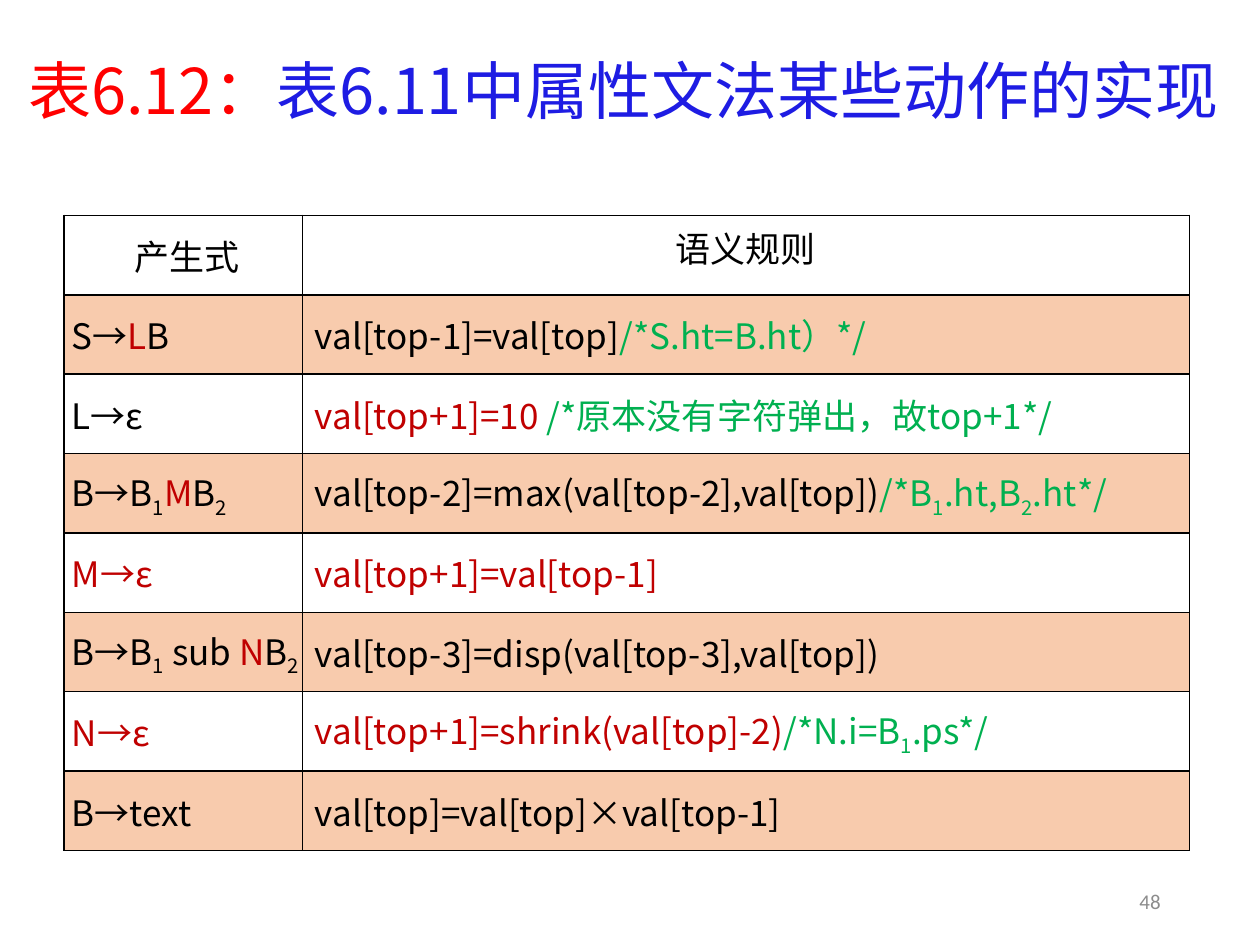
from lxml import etree
from pptx import Presentation
from pptx import util as u
from pptx.dml.color import RGBColor
from pptx.enum import text
from pptx.oxml.ns import qn

COLORS = {
    "black": "000000", "red": "C00000", "green": "00B050", "band": "F8CBAD",
    "label": "FF0000", "title": "1E1CE3", "number": "8C8C8C",
}
TITLE_FONT, TABLE_FONT = "Noto Sans CJK JP", "Noto Sans CJK SC"
CENTER, RIGHT, LEFT = (text.PP_ALIGN.CENTER, text.PP_ALIGN.RIGHT,
                       text.PP_ALIGN.LEFT)
ROW_HEIGHT = 0.63
COLUMN_WIDTHS = (1.89, 7.04)

# A leading underscore marks a subscript run.
RULES = [
    ([("产生式", "black")], [("语义规则", "black")]),
    ([("S→", "black"), ("L", "red"), ("B", "black")],
     [("val[top-1]=val[top]", "black"), ("/*S.ht=B.ht）*/", "green")]),
    ([("L→ε", "black")],
     [("val[top+1]=10 ", "red"), ("/*原本没有字符弹出，故top+1*/", "green")]),
    ([("B→B", "black"), ("_1", "black"), ("M", "red"), ("B", "black"),
      ("_2", "black")],
     [("val[top-2]=max(val[top-2],val[top])", "black"), ("/*B", "green"),
      ("_1", "green"), (".ht,B", "green"), ("_2", "green"),
      (".ht*/", "green")]),
    ([("M→ε", "red")], [("val[top+1]=val[top-1]", "red")]),
    ([("B→B", "black"), ("_1", "black"), (" sub ", "black"), ("N", "red"),
      ("B", "black"), ("_2", "black")],
     [("val[top-3]=disp(val[top-3],val[top])", "black")]),
    ([("N→ε", "red")],
     [("val[top+1]=shrink(val[top]-2)", "red"), ("/*N.i=B", "green"),
      ("_1", "green"), (".ps*/", "green")]),
    ([("B→text", "black")], [("val[top]=val[top]×val[top-1]", "black")]),
]


def rgb(name):
    return RGBColor.from_string(COLORS[name])


def write_runs(p, runs, size, font, align):
    p.alignment = align
    p.font.size = u.Pt(size)
    p.font.name = font
    props = p._p.pPr.find(qn("a:defRPr"))
    etree.SubElement(props, qn("a:ea"), typeface=font)
    for content, color in runs:
        r = p.add_run()
        r.text = content.removeprefix("_")
        r.font.color.rgb = rgb(color)
        if content.startswith("_"):
            r._r.get_or_add_rPr().set("baseline", "-25000")


def add_text(s, box, runs, size, font, align):
    sp = s.shapes.add_textbox(*map(u.Inches, box))
    tf = sp.text_frame
    tf.word_wrap = True
    tf.vertical_anchor = text.MSO_ANCHOR.MIDDLE
    write_runs(tf.paragraphs[0], runs, size, font, align)
    return tf.paragraphs[0]


def set_borders(cell):
    props = cell._tc.get_or_add_tcPr()
    for index, side in enumerate(("lnL", "lnR", "lnT", "lnB")):
        line = etree.Element(qn(f"a:{side}"), w=str(u.Pt(1)))
        fill = etree.SubElement(line, qn("a:solidFill"))
        etree.SubElement(fill, qn("a:srgbClr"), val=COLORS["black"])
        props.insert(index, line)


def set_margins(cell, left, top, right, bottom):
    cell.margin_left, cell.margin_top = u.Inches(left), u.Inches(top)
    cell.margin_right, cell.margin_bottom = u.Inches(right), u.Inches(bottom)


def fill_cell(cell, runs, row, column):
    is_header = row == 0
    if column == 0:
        set_margins(cell, 0.06, 0, 0, 0)
    else:
        right = 0 if row == 3 else 0.1
        set_margins(cell, 0.1, 0.05, right, 0.05)
    top_aligned = is_header and column == 1
    cell.vertical_anchor = (text.MSO_ANCHOR.TOP if top_aligned
                            else text.MSO_ANCHOR.MIDDLE)
    if row % 2:
        cell.fill.solid()
        cell.fill.fore_color.rgb = rgb("band")
    else:
        cell.fill.background()
    set_borders(cell)
    p = cell.text_frame.paragraphs[0]
    p.space_after = u.Pt(6)
    write_runs(p, runs, 20, TABLE_FONT, CENTER if is_header else LEFT)


def add_rules_table(s):
    size = (sum(COLUMN_WIDTHS), ROW_HEIGHT * len(RULES))
    table = s.shapes.add_table(len(RULES), len(COLUMN_WIDTHS),
                               *map(u.Inches, (0.51, 1.71, *size))).table
    table.first_row = table.horz_banding = False
    for column, width in zip(table.columns, COLUMN_WIDTHS):
        column.width = u.Inches(width)
    for row, cells in enumerate(RULES):
        table.rows[row].height = u.Inches(ROW_HEIGHT)
        for column, runs in enumerate(cells):
            fill_cell(table.cell(row, column), runs, row, column)


def main():
    prs = Presentation()
    prs.slide_width, prs.slide_height = u.Inches(10), u.Inches(7.5)
    s = prs.slides.add_slide(prs.slide_layouts[6])
    title = add_text(s, (0.12, 0.4, 9.65, 0.7),
                     [("表6.12：", "label"),
                      ("表6.11中属性文法某些动作的实现", "title")],
                     36, TITLE_FONT, CENTER)
    title.line_spacing = 0.9
    add_text(s, (7.06, 6.95, 2.25, 0.4), [("48", "number")],
             12, "Calibri", RIGHT)
    add_rules_table(s)
    prs.save("out.pptx")


if __name__ == "__main__":
    main()
